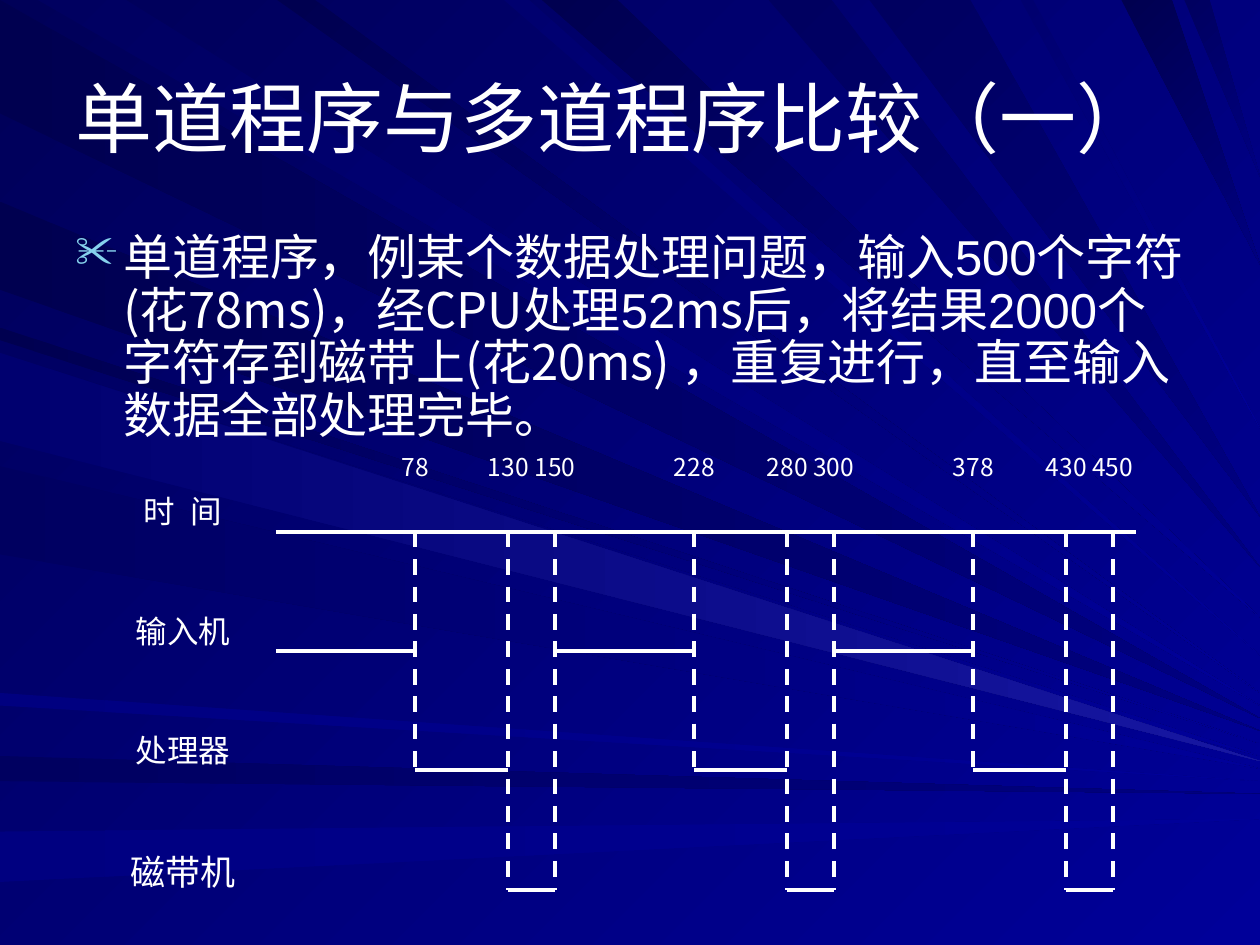
from dataclasses import dataclass
from itertools import product
from typing import Optional

from lxml.etree import SubElement
from pptx import Presentation
from pptx.dml.color import RGBColor
from pptx.enum.dml import MSO_LINE
from pptx.enum.text import MSO_ANCHOR, PP_ALIGN
from pptx.oxml.ns import qn
from pptx.util import Inches, Pt

WIDE, HIGH = Inches(10), Inches(7.5)
WHITE = RGBColor(0xFF, 0xFF, 0xFF)
NIGHT, NAVY = RGBColor(0, 0, 0x58), RGBColor(0, 0, 0x99)
DEEP, MID, SOFT = RGBColor(0, 0, 0x50), RGBColor(0, 0, 0x60), RGBColor(0, 0, 0x6F)
DUSK, GLOW = RGBColor(0, 0, 0x80), RGBColor(0x17, 0x17, 0xA2)
SANS, LATIN = "Noto Sans CJK SC", "Arial"

# Time grid: a cycle takes six columns, each device has its own row.
LEFT, TOP = Inches(2.19), Inches(4.22)
COL, ROW = Inches(0.369), Inches(0.947)
CYCLE, CYCLES, SPAN = 6, 3, 18.5
PERIOD = 150


@dataclass(frozen=True)
class Ray:
    """A beam from a stretch of one slide edge to a point on the right edge."""
    near: float
    far: float
    end: float
    start: RGBColor
    stop: RGBColor = NAVY


@dataclass(frozen=True)
class Phase:
    """One device's share of a cycle, in columns; ends at a given time."""
    row: int
    start: int
    end: int
    time: int


@dataclass(frozen=True)
class Label:
    text: str
    row: int
    size: int
    space: float = 0


SIDE_RAYS = (
    Ray(0, 0.9, 5.7, DEEP, DUSK), Ray(6, 6.2, 6.3, MID, DUSK), Ray(6.6, 7, 6.5, DUSK),
    Ray(2.6, 2.7, 5.9, DEEP), Ray(1.6, 2.3, 5.8, DEEP, DUSK), Ray(2.8, 3.4, 6, MID),
    Ray(3.7, 4.4, 6.1, MID), Ray(5.5, 5.6, 6.2, DUSK), Ray(2.8, 3.5, 6.04, SOFT, GLOW),
)
TOP_RAYS = (
    Ray(0.3, 1, 5.6, MID), Ray(4, 4.2, 5.2, SOFT), Ray(4.3, 4.9, 4.9, DEEP),
    Ray(6.1, 6.6, 4.5, MID, DUSK), Ray(8.9, 9.3, 2.1, DEEP, DUSK),
    Ray(9.4, 9.6, 1.4, MID, DUSK), Ray(2.2, 2.5, 5.5, DEEP),
    Ray(6.9, 7.7, 4.1, MID, DUSK), Ray(8.1, 8.2, 3.4, SOFT),
)
PHASES = (Phase(1, 0, 3, 78), Phase(2, 3, 5, 130), Phase(3, 5, 6, 150))
LABELS = (Label("时 间", 0, 18, 2.25), Label("输入机", 1, 18),
          Label("处理器", 2, 18), Label("磁带机", 3, 20))
BODY = (
    ("单道程序，例某个数据处理问题，输入", SANS), ("500", LATIN),
    ("个字符(花78ms)，经CPU处理", SANS), ("52", LATIN), ("ms后，将结果", SANS),
    ("2000", LATIN), ("个字符存到磁带上(花20ms) ，重复进行，直至输入数据全部处理完毕。", SANS),
)


def shade(fill, start: RGBColor, stop: RGBColor, angle: int) -> None:
    """Fill with a gradient at a clockwise angle."""
    fill.gradient()
    fill.gradient_angle = (360 - angle) % 360
    for mark, tint in zip(fill.gradient_stops, (start, stop)):
        mark.color.rgb = tint


def draw_ray(slide, ray: Ray, top: bool) -> None:
    near, far = Inches(ray.near), Inches(ray.far)
    base = [(near, 0), (far, 0)] if top else [(0, near), (0, far)]
    pen = slide.shapes.build_freeform(*base[0])
    pen.add_line_segments([base[1], (WIDE, Inches(ray.end))], close=True)
    shape = pen.convert_to_shape()
    shape.shadow.inherit = False
    shape.line.fill.background()
    shade(shape.fill, ray.start, ray.stop, 45 if top else 0)


def add_box(slide, left: float, top: float, width: float, height: float,
            inset: Optional[int] = None):
    frame = slide.shapes.add_textbox(int(left), int(top), int(width), int(height)).text_frame
    frame.word_wrap = True
    if inset is not None:
        for side in ("left", "right", "top", "bottom"):
            setattr(frame, f"margin_{side}", inset)
    return frame


def add_run(para, text: str, size: int, face: str = SANS):
    run = para.add_run()
    run.text = text
    for name, value in {"size": Pt(size), "name": face}.items():
        setattr(run.font, name, value)
    run.font.color.rgb = WHITE
    SubElement(run.font._element, qn("a:ea"), typeface=SANS)
    return run


def add_label(slide, text: str, left: float, top: float, width: float, size: int,
              space: float = 0) -> None:
    """Centred text placed in grid columns and rows."""
    frame = add_box(slide, LEFT + left * COL, TOP + top * ROW, width * COL, ROW * 2 / 3, 0)
    para = frame.paragraphs[0]
    para.alignment = PP_ALIGN.CENTER
    run = add_run(para, text, size)
    if space:
        run.font._element.set("spc", str(int(space * 100)))


def add_line(slide, x1: float, y1: float, x2: float, y2: float, dash: bool = False) -> None:
    """A straight line between two grid points."""
    ends = [int(v) for v in (LEFT + x1 * COL, TOP + y1 * ROW, LEFT + x2 * COL, TOP + y2 * ROW)]
    link = slide.shapes.add_connector(1, *ends)
    link.line.color.rgb = WHITE
    link.line.width = Pt(2.25)
    if dash:
        link.line.dash_style = MSO_LINE.DASH
    SubElement(link._element.spPr, qn("a:effectLst"))


def add_title(slide) -> None:
    frame = add_box(slide, WIDE * 0.05, HIGH * 0.04, WIDE * 0.9, HIGH / 6)
    frame.vertical_anchor = MSO_ANCHOR.MIDDLE
    add_run(frame.paragraphs[0], "单道程序与多道程序比较（一）", 44, LATIN)


def add_body(slide) -> None:
    frame = add_box(slide, WIDE * 0.05, HIGH * 0.24, WIDE * 0.9, HIGH * 0.25)
    para = frame.paragraphs[0]
    props = para._p.get_or_add_pPr()
    for name, value in {"marL": Inches(0.38), "indent": -Inches(0.38)}.items():
        props.set(name, str(value))
    SubElement(SubElement(props, qn("a:buClr")), qn("a:srgbClr"), val="86D1EC")
    SubElement(props, qn("a:buSzPct"), val="90000")
    SubElement(props, qn("a:buChar"), char="✂")
    para.line_spacing = Pt(30)
    for text, face in BODY:
        add_run(para, text, 28, face)


def add_chart(slide) -> None:
    """The time axis with each device's busy spans below it."""
    add_line(slide, 0, 0, SPAN, 0)
    for label in LABELS:
        add_label(slide, label.text, -3.5, label.row - 0.33, 3, label.size, label.space)
    for turn, phase in product(range(CYCLES), PHASES):
        start, end = turn * CYCLE + phase.start, turn * CYCLE + phase.end
        add_line(slide, start, phase.row, end, phase.row)
        add_line(slide, end, 0, end, min(phase.row + 1, len(PHASES)), dash=True)
        add_label(slide, str(turn * PERIOD + phase.time), end - 0.5, -0.67, 1, 14)


def main() -> None:
    deck = Presentation()
    deck.slide_width, deck.slide_height = WIDE, HIGH
    slide = deck.slides.add_slide(deck.slide_layouts[6])
    shade(slide.background.fill, NIGHT, NAVY, 45)
    for rays, top in ((SIDE_RAYS, False), (TOP_RAYS, True)):
        for ray in rays:
            draw_ray(slide, ray, top)
    add_title(slide)
    add_body(slide)
    add_chart(slide)
    deck.save("out.pptx")


if __name__ == "__main__":
    main()
